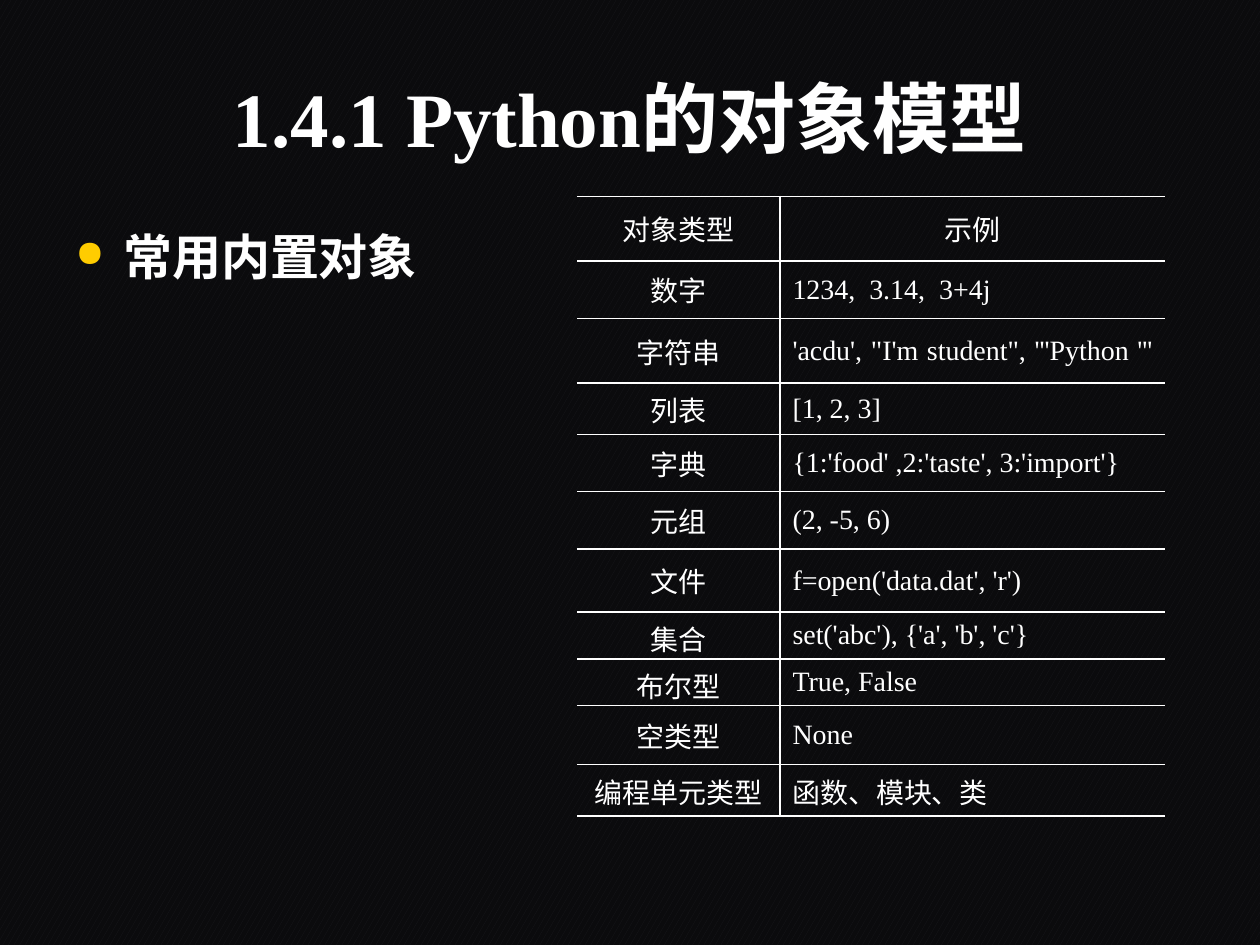
"""Build a slide on the Python object model with a table of built-in types."""
import dataclasses

import lxml.etree
import pptx
import pptx.dml.color
import pptx.enum.dml
import pptx.enum.text
import pptx.oxml.ns
import pptx.text.text
import pptx.util

Inches = pptx.util.Inches
Pt = pptx.util.Pt
Align = pptx.enum.text.PP_ALIGN
Anchor = pptx.enum.text.MSO_ANCHOR
qn = pptx.oxml.ns.qn

COLORS = {"text": "FFFFFF", "bullet": "FFCC00", "fore": "19191D", "back": "0B0B0D"}
SERIF = "Times New Roman"
WIDTHS = (1.61, 3.06)
SIDES = ("LTRB", "LTRB")
OPEN = ("L", "R")


@dataclasses.dataclass
class Entry:
    kind: str
    sample: str
    height: float


ENTRIES = [
    Entry("对象类型", "示例", 0.51),
    Entry("数字", "1234,  3.14,  3+4j", 0.46),
    Entry("字符串", "'acdu', \"I'm student\", '''Python ''' ", 0.51),
    Entry("列表", "[1, 2, 3]", 0.41),
    Entry("字典", "{1:'food' ,2:'taste', 3:'import'}", 0.45),
    Entry("元组", "(2, -5, 6)", 0.46),
    Entry("文件", "f=open('data.dat', 'r')", 0.5),
    Entry("集合", "set('abc'), {'a', 'b', 'c'}", 0.37),
    Entry("布尔型", "True, False", 0.37),
    Entry("空类型", "None", 0.47),
    Entry("编程单元类型", "函数、模块、类", 0.41),
]


def color(name: str) -> pptx.dml.color.RGBColor:
    return pptx.dml.color.RGBColor.from_string(COLORS[name])


def style(para: pptx.text.text._Paragraph, size: float, face: str, bold: bool, align: Align) -> None:
    para.alignment = align
    para.font.size = Pt(size)
    para.font.name = face
    para.font.bold = bold
    para.font.color.rgb = color("text")


def add_bullet(para: pptx.text.text._Paragraph) -> None:
    props = para._p.get_or_add_pPr()
    props.set("marL", str(Inches(0.38)))
    props.set("indent", str(-Inches(0.38)))
    tint = lxml.etree.Element(qn("a:buClr"))
    lxml.etree.SubElement(tint, qn("a:srgbClr"), val=COLORS["bullet"])
    size = lxml.etree.Element(qn("a:buSzPct"), val="75000")
    mark = lxml.etree.Element(qn("a:buChar"), char="●")
    spot = 1 if props.find(qn("a:spcBef")) is not None else 0
    props[spot:spot] = [tint, size, mark]


def add_borders(cell: pptx.table._Cell, blank: str) -> None:
    props = cell._tc.get_or_add_tcPr()
    for side in "LRTB":
        line = lxml.etree.SubElement(props, qn("a:ln" + side), w=str(Pt(1)))
        if side == blank:
            lxml.etree.SubElement(line, qn("a:noFill"))
        else:
            fill = lxml.etree.SubElement(line, qn("a:solidFill"))
            lxml.etree.SubElement(fill, qn("a:srgbClr"), val=COLORS["text"])


def fill_cell(cell: pptx.table._Cell, text: str, align: Align, blank: str) -> None:
    cell.text = text
    cell.vertical_anchor = Anchor.MIDDLE
    style(cell.text_frame.paragraphs[0], 16, SERIF, False, align)
    add_borders(cell, blank)
    cell.fill.background()


def add_types(slide: pptx.slide.Slide) -> None:
    total = sum(entry.height for entry in ENTRIES)
    frame = slide.shapes.add_table(
        len(ENTRIES), len(WIDTHS), Inches(4.58), Inches(1.56), Inches(sum(WIDTHS)), Inches(total)
    )
    table = frame.table
    table.first_row = table.horz_banding = False
    for column, width in zip(table.columns, WIDTHS):
        column.width = Inches(width)
    for index, entry in enumerate(ENTRIES):
        table.rows[index].height = Inches(entry.height)
        align = Align.JUSTIFY if index else Align.CENTER
        fill_cell(table.cell(index, 0), entry.kind, Align.CENTER, "L")
        fill_cell(table.cell(index, 1), entry.sample, align, "R")


def build() -> None:
    deck = pptx.Presentation()
    deck.slide_width, deck.slide_height = Inches(10), Inches(7.5)
    slide = deck.slides.add_slide(deck.slide_layouts[5])
    ground = slide.background.fill
    ground.patterned()
    ground.pattern = pptx.enum.dml.MSO_PATTERN.LARGE_CONFETTI
    ground.fore_color.rgb = color("fore")
    ground.back_color.rgb = color("back")

    title = slide.shapes.title
    title.left, title.top = Inches(0.5), Inches(0.3)
    title.width, title.height = Inches(9), Inches(1.25)
    title.text_frame.text = "1.4.1 Python的对象模型"
    title.text_frame.vertical_anchor = Anchor.MIDDLE
    style(title.text_frame.paragraphs[0], 44, SERIF, True, Align.CENTER)

    body = slide.shapes.add_textbox(Inches(0.5), Inches(1.75), Inches(4.42), Inches(4.95))
    body.text_frame.word_wrap = True
    body.text_frame.text = "常用内置对象"
    para = body.text_frame.paragraphs[0]
    style(para, 28, "Arial", True, Align.LEFT)
    para.space_before = Pt(5.6)
    add_bullet(para)

    add_types(slide)
    deck.save("out.pptx")


build()
